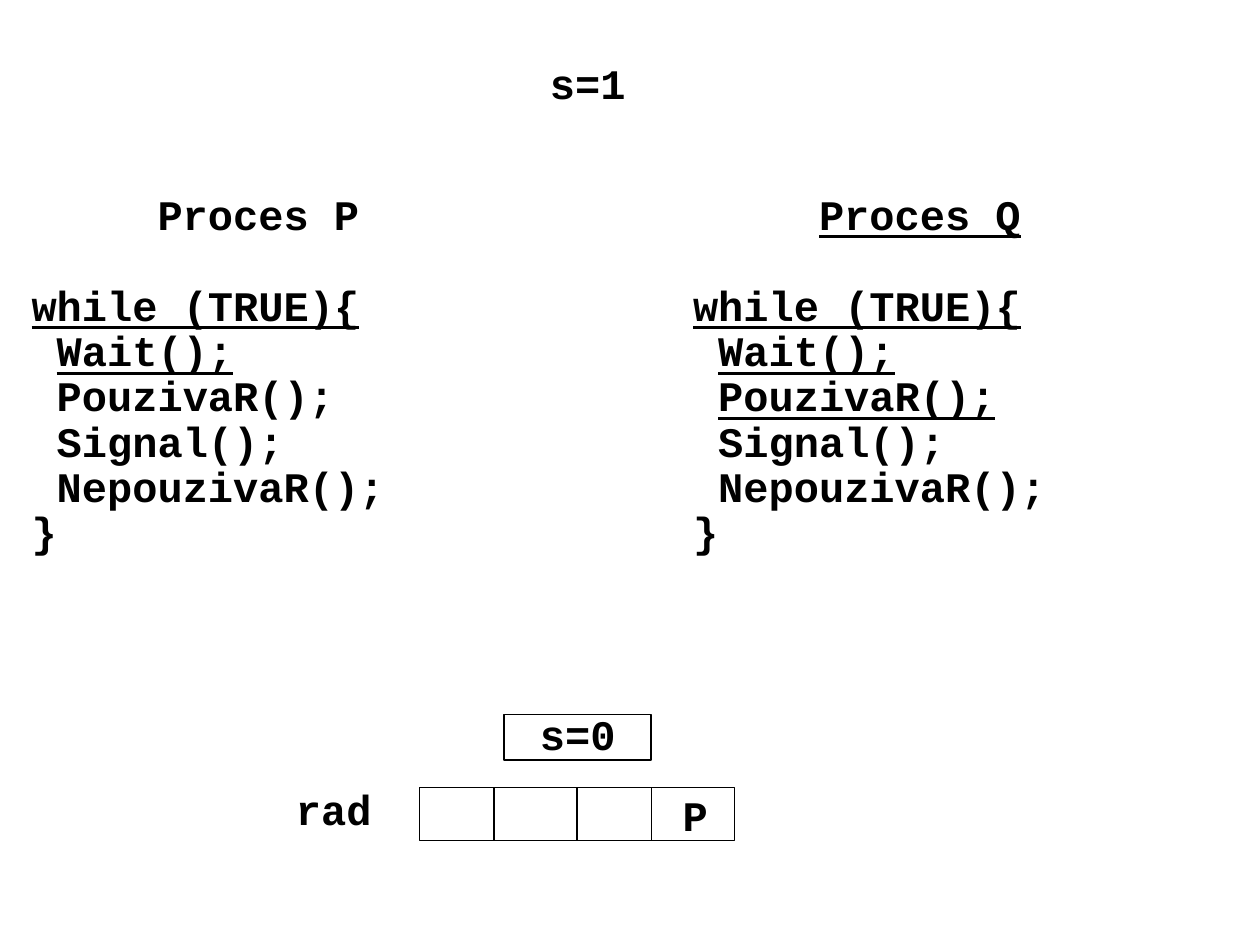
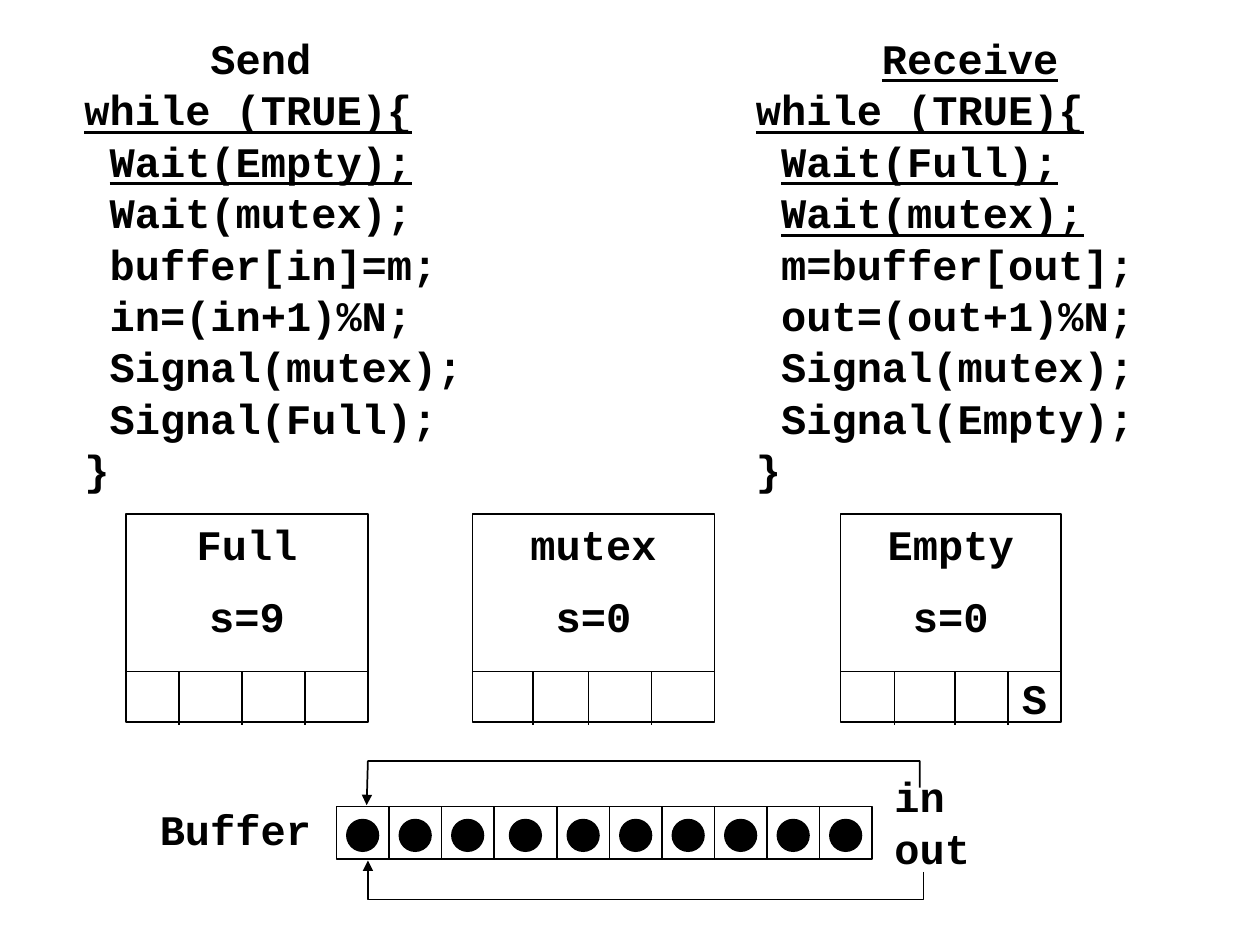
from itertools import pairwise

from lxml import etree
from pptx import Presentation
from pptx.dml.color import RGBColor
from pptx.enum import shapes, text
from pptx.oxml import ns
from pptx.util import Inches, Pt

COLORS = {"ink": "000000", "paper": "FFFFFF"}
CENTER = text.PP_ALIGN.CENTER
MIDDLE = text.MSO_ANCHOR.MIDDLE
PADDED = (0.1, 0.05)


class Board:
    font_name = "Courier New"
    font_size = Pt(24)
    line_width = Pt(1)

    def __init__(self):
        self.presentation = Presentation()
        self.presentation.slide_width = Inches(10)
        self.presentation.slide_height = Inches(7.5)
        self.slide = None

    def color(self, name):
        return RGBColor.from_string(COLORS[name])

    def new_slide(self):
        self.slide = self.presentation.slides.add_slide(self.presentation.slide_layouts[6])
        background = self.slide.background.fill
        background.solid()
        background.fore_color.rgb = self.color("paper")

    def outline(self, shape):
        shape.line.color.rgb = self.color("ink")
        shape.line.width = self.line_width

    def set_lines(self, shape, lines, underlined=(), align=None, spacing=1.0, gaps=None,
                  padding=(0, 0), anchor=text.MSO_ANCHOR.TOP):
        frame = shape.text_frame
        frame.word_wrap = True
        frame.auto_size = text.MSO_AUTO_SIZE.NONE
        frame.vertical_anchor = anchor
        frame.margin_left = frame.margin_right = Inches(padding[0])
        frame.margin_top = frame.margin_bottom = Inches(padding[1])
        for number, line in enumerate(lines):
            paragraph = frame.paragraphs[0] if number == 0 else frame.add_paragraph()
            paragraph.alignment = align or text.PP_ALIGN.LEFT
            paragraph.line_spacing = spacing
            paragraph.space_before = Pt((gaps or {}).get(number, 0))
            if "\t" in line:
                self.add_tab(paragraph, 1)
            paragraph.font.name = self.font_name
            paragraph.font.size = self.font_size
            paragraph.font.bold = True
            paragraph.font.color.rgb = self.color("ink")
            code = line.lstrip()
            indent = line[:len(line) - len(code)]
            if number in underlined:
                if indent:
                    paragraph.add_run().text = indent
                run = paragraph.add_run()
                run.text = code
                run.font.underline = True
            else:
                paragraph.add_run().text = line

    def add_tab(self, paragraph, position):
        tabs = etree.SubElement(paragraph._p.get_or_add_pPr(), ns.qn("a:tabLst"))
        etree.SubElement(tabs, ns.qn("a:tab"), pos=str(Inches(position)), algn="l")

    def label(self, left, top, width, height, lines, **style):
        box = self.slide.shapes.add_textbox(*map(Inches, (left, top, width, height)))
        self.set_lines(box, lines, **style)

    def shape(self, kind, left, top, width, height, fill=None):
        shape = self.slide.shapes.add_shape(kind, *map(Inches, (left, top, width, height)))
        shape.shadow.inherit = False
        if fill:
            shape.fill.solid()
            shape.fill.fore_color.rgb = self.color(fill)
        else:
            shape.fill.background()
        self.outline(shape)
        return shape

    def box(self, left, top, width, height, lines=(), **style):
        box = self.shape(shapes.MSO_SHAPE.RECTANGLE, left, top, width, height)
        if lines:
            self.set_lines(box, lines, align=CENTER, spacing=0.9, **style)
        return box

    def ball(self, center_x, center_y, size):
        self.shape(shapes.MSO_SHAPE.OVAL, center_x - size / 2, center_y - size / 2,
                   size, size, fill="ink")

    def line(self, x1, y1, x2, y2):
        connector = self.slide.shapes.add_connector(
            shapes.MSO_CONNECTOR.STRAIGHT, *map(Inches, (x1, y1, x2, y2)))
        self.outline(connector)
        etree.SubElement(connector._element.spPr, ns.qn("a:effectLst"))
        return connector

    def dividers(self, positions, top, bottom):
        return [self.line(x, top, x, bottom) for x in positions]

    def bent_arrow(self, points):
        corners = [(Inches(x), Inches(y)) for x, y in points]
        builder = self.slide.shapes.build_freeform(*corners[0])
        builder.add_line_segments(corners[1:], close=False)
        arrow = builder.convert_to_shape()
        arrow.shadow.inherit = False
        arrow.fill.background()
        self.outline(arrow)
        etree.SubElement(arrow.line._get_or_add_ln(), ns.qn("a:tailEnd"), type="triangle")

    def semaphore(self, left, width, name, value, divider_positions):
        self.box(left, 4.08, width, 1.65, [name, value], gaps={1: 15}, padding=(0, 0.08))
        self.line(left, 5.33, left + width, 5.33)
        self.dividers(divider_positions, 5.33, 5.75)


def build_processes(board):
    board.new_slide()
    body = ["while (TRUE){", " Wait();", " PouzivaR();", " Signal();", " NepouzivaR();", "}"]
    for left, name, underlined in ((0.25, "P", (1, 2)), (5.5, "Q", (0, 1, 2, 3))):
        board.label(left, 1.54, 4.25, 2.88, [f"\tProces {name}", *body],
                    underlined=underlined, spacing=0.9, gaps={1: 26})
    board.box(4, 5.67, 1.17, 0.36, ["s=0"])
    board.label(3.08, 0.5, 3.17, 0.36, ["s=1"], align=CENTER, spacing=0.9)
    queue = board.box(3.33, 6.25, 2.5, 0.42)
    middle = board.dividers((3.92, 4.58, 5.17), 6.25, 6.67)[1]
    middle.begin_connect(queue, 0)
    middle.end_connect(queue, 2)
    board.label(2.25, 6.17, 0.92, 0.5, ["rad"], padding=PADDED, anchor=MIDDLE)
    board.label(5.32, 6.22, 0.58, 0.5, ["P"], padding=PADDED)


def build_buffer(board):
    board.new_slide()
    for semaphore in (
        (1, 1.92, "Full", "s=9", (1.42, 1.92, 2.42)),
        (3.75, 1.92, "mutex", "s=0", (4.23, 4.67, 5.17)),
        (6.67, 1.75, "Empty", "s=0", (7.1, 7.58, 8)),
    ):
        board.semaphore(*semaphore)
    send = ["\tSend", "while (TRUE){", " Wait(Empty);", " Wait(mutex);", " buffer[in]=m;",
            " in=(in+1)%N;", " Signal(mutex);", " Signal(Full);", "}"]
    receive = ["\tReceive", "while (TRUE){", " Wait(Full);", " Wait(mutex);",
               " m=buffer[out];", " out=(out+1)%N;", " Signal(mutex);", " Signal(Empty);", "}"]
    for left, width, code, underlined in (
        (0.67, 3.58, send, (1, 2)),
        (6, 3.33, receive, (0, 2, 3, 1)),
    ):
        board.label(left, 0.42, width, 3.49, code, underlined=underlined, spacing=0.5,
                    gaps=dict.fromkeys(range(1, len(code)), 15), padding=(0, 0.01))
    board.label(1.17, 6.33, 1.5, 0.5, ["Buffer"], padding=PADDED)
    board.label(7, 6.24, 0.83, 0.71, ["in", "out"], spacing=0.5, gaps={1: 15},
                padding=PADDED, anchor=MIDDLE)

    cell_width = 5 / 12
    wide_cell_extra = 1 / 12
    edges = [2.67 + n * cell_width + (wide_cell_extra if n > 3 else 0) for n in range(11)]
    board.box(edges[0], 6.4, edges[-1] - edges[0], 0.42)
    board.dividers(edges[1:-1], 6.4, 6.82)
    for left, right in pairwise(edges):
        board.ball((left + right) / 2, 6.63, 0.25)

    board.bent_arrow([(7.3, 6.25), (7.3, 6.04), (2.92, 6.04), (2.91, 6.39)])
    board.bent_arrow([(7.33, 6.92), (7.33, 7.14), (2.92, 7.14), (2.92, 6.83)])
    board.label(8.01, 5.29, 0.4, 0.5, ["S"], align=CENTER, padding=(0, 0.05), anchor=MIDDLE)


def main():
    board = Board()
    build_processes(board)
    build_buffer(board)
    board.presentation.save("out.pptx")


if __name__ == "__main__":
    main()
